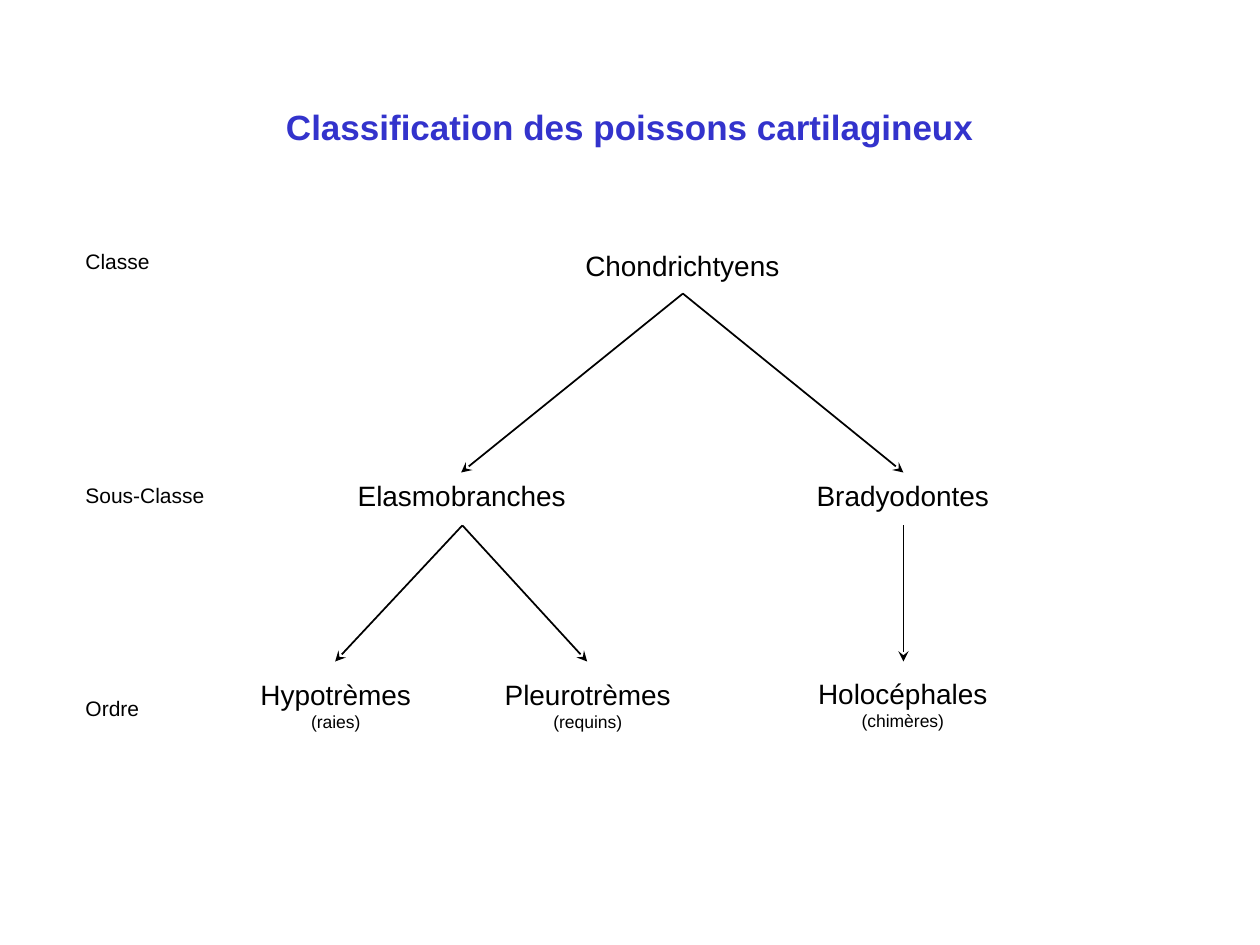
from lxml import etree
from pptx import Presentation
from pptx.dml.color import RGBColor
from pptx.enum.shapes import MSO_CONNECTOR
from pptx.enum.text import MSO_ANCHOR, PP_ALIGN
from pptx.oxml.ns import qn
from pptx.util import Inches, Pt

CENTER, LEFT = PP_ALIGN.CENTER, PP_ALIGN.LEFT
MIDDLE = MSO_ANCHOR.MIDDLE
STRAIGHT = MSO_CONNECTOR.STRAIGHT
FONT = "Arial"
COLORS = {"title": "3333CC", "ink": "000000"}

prs = Presentation()
prs.slide_width, prs.slide_height = Inches(10), Inches(7.5)
slide = prs.slides.add_slide(prs.slide_layouts[5])


def add_label(text, left, top, width, height, size, align, note=""):
    """Add a text box, with an optional smaller note on a second line."""
    box = slide.shapes.add_textbox(Inches(left), Inches(top), Inches(width), Inches(height))
    box.text_frame.word_wrap = True
    paragraph = box.text_frame.paragraphs[0]
    paragraph.alignment = align
    paragraph.font.name = FONT
    paragraph.font.color.rgb = RGBColor.from_string(COLORS["ink"])
    if not note:
        paragraph.text = text
        paragraph.font.size = Pt(size)
        return
    name_run = paragraph.add_run()
    name_run.text = text
    name_run.font.size = Pt(size)
    paragraph.add_line_break()
    note_run = paragraph.add_run()
    note_run.text = note
    note_run.font.size = Pt(10)


# Title
title = slide.shapes.title
title.left, title.top = Inches(0.75), Inches(0.67)
title.width, title.height = Inches(8.5), Inches(0.67)
title.text_frame.vertical_anchor = MIDDLE
heading = title.text_frame.paragraphs[0]
heading.text = "Classification des poissons cartilagineux"
heading.alignment = CENTER
heading.font.name = FONT
heading.font.size = Pt(20)
heading.font.bold = True
heading.font.color.rgb = RGBColor.from_string(COLORS["title"])

# Rank names on the left
for rank, top, width in [("Classe", 1.92, 0.75), ("Sous-Classe", 3.78, 1.16), ("Ordre", 5.47, 1.25)]:
    add_label(rank, 0.58, top, width, 0.3, 12, LEFT)

# Class and subclasses
for taxon, left, top, width in [
    ("Chondrichtyens", 4.54, 1.92, 1.75),
    ("Elasmobranches", 2.73, 3.75, 1.87),
    ("Bradyodontes", 6.21, 3.75, 1.91),
]:
    add_label(taxon, left, top, width, 0.37, 16, CENTER)

# Orders with their common names
for order, common_name, left, top in [
    ("Hypotrèmes", "(raies)", 1.75, 5.33),
    ("Pleurotrèmes", "(requins)", 3.75, 5.33),
    ("Holocéphales", "(chimères)", 6.25, 5.32),
]:
    add_label(order, left, top, 1.83, 0.53, 16, CENTER, common_name)

# Branches: start x, end x, start y, end y
for x1, x2, y1, y2 in [
    (5.42, 3.66, 2.33, 3.75),
    (5.42, 7.17, 2.33, 3.75),
    (3.67, 2.66, 4.17, 5.25),
    (3.67, 4.66, 4.17, 5.25),
    (7.17, 7.17, 4.17, 5.25),
]:
    branch = slide.shapes.add_connector(STRAIGHT, Inches(x1), Inches(y1), Inches(x2), Inches(y2))
    branch.line.color.rgb = RGBColor.from_string(COLORS["ink"])
    branch.line.width = Pt(1)
    etree.SubElement(branch.line._get_or_add_ln(), qn("a:tailEnd"), type="stealth")
    etree.SubElement(branch._element.spPr, qn("a:effectLst"))

prs.save("out.pptx")
